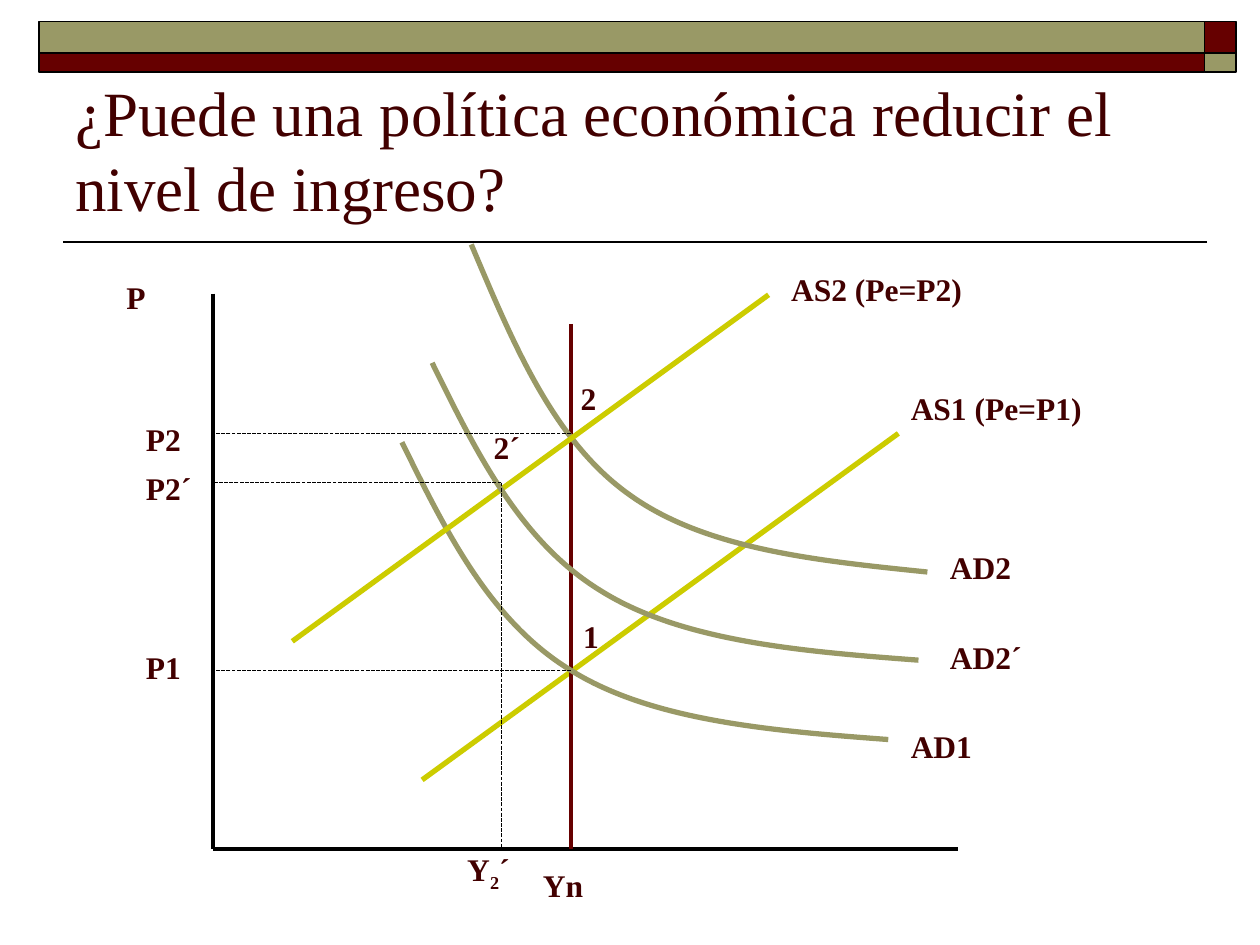
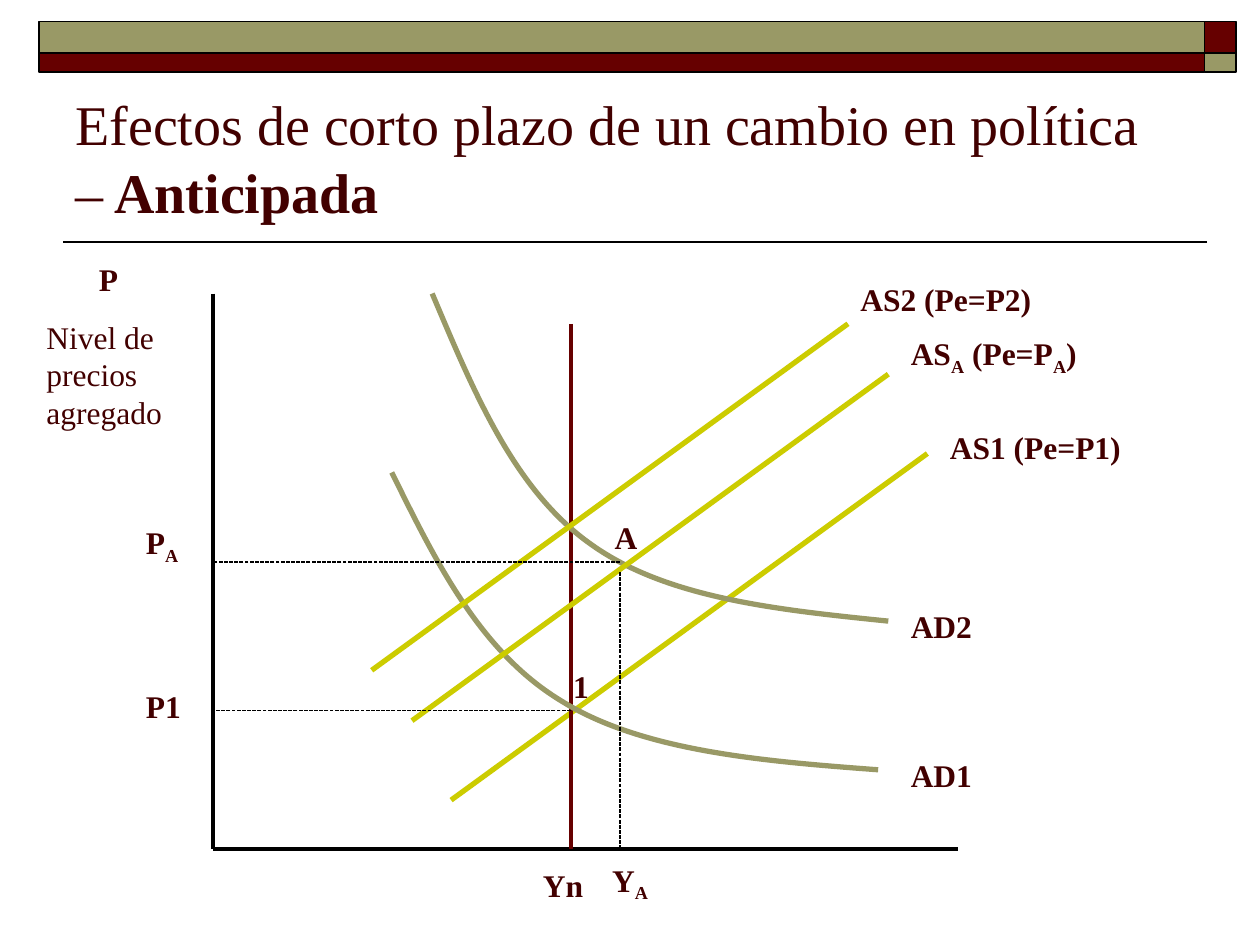
from dataclasses import dataclass

from lxml.etree import SubElement
from pptx import Presentation
from pptx.dml.color import RGBColor
from pptx.enum.dml import MSO_LINE
from pptx.enum.shapes import MSO_CONNECTOR, MSO_SHAPE
from pptx.enum.text import MSO_ANCHOR, PP_ALIGN
from pptx.oxml.ns import qn
from pptx.slide import Slide
from pptx.util import Inches, Pt

FONT = "Times New Roman"
COLORS = {
    "text": "420000",
    "maroon": "660000",
    "olive": "999966",
    "supply": "CCCC00",
    "black": "000000",
}

# Axes and the natural output line are the same in every diagram.
AXIS_X, AXIS_Y = 1.69, 6.74
NATURAL_X = 4.53
SUPPLY_RUN, SUPPLY_RISE = 3.78, 2.75

# Offsets from the curve's start: two joined cubic Bézier segments.
LOW_CURVE = ((0.35, 0.71), (0.7, 1.42), (1.34, 1.81),
             (1.98, 2.21), (2.92, 2.29), (3.86, 2.36))
HIGH_CURVE = ((0.33, 0.78), (0.65, 1.56), (1.26, 1.99),
              (1.86, 2.42), (2.74, 2.51), (3.62, 2.6))


@dataclass(frozen=True)
class Band:
    left: float
    top: float
    width: float
    height: float
    color: str


@dataclass(frozen=True)
class Line:
    start: tuple[float, float]
    end: tuple[float, float]
    color: str = "black"
    weight: float = 2.25
    dashed: bool = False


@dataclass(frozen=True)
class Demand:
    left: float
    top: float
    curve: tuple[tuple[float, float], ...] = LOW_CURVE


@dataclass(frozen=True)
class Label:
    """Text between underscores is subscript; a note is a plain second paragraph."""
    text: str
    left: float
    top: float
    width: float = 0.95
    height: float = 0.4
    align: PP_ALIGN = PP_ALIGN.LEFT
    note: str = ""


@dataclass(frozen=True)
class Diagram:
    title: str
    title_bold: str
    title_size: int
    curves: tuple[Line | Demand, ...]
    guides: tuple[Line, ...]
    labels: tuple[Label, ...]


def supply(left: float, bottom: float) -> Line:
    return Line((left, bottom), (left + SUPPLY_RUN, bottom - SUPPLY_RISE), "supply", 3)


def price_guide(x: float, y: float) -> Line:
    return Line((x, y), (AXIS_X, y), weight=0.75, dashed=True)


def output_guide(x: float, y: float) -> Line:
    return Line((x, y), (x, AXIS_Y), weight=0.75, dashed=True)


def price_label(text: str, top: float, height: float = 0.4) -> Label:
    return Label(text, 1.06, top, 0.63, height)


def supply_label(text: str, left: float, top: float, height: float = 0.4) -> Label:
    return Label(text, left, top, 1.81, height)


BANDS = (
    Band(9.56, 0.17, 0.25, 0.25, "maroon"),
    Band(0.31, 0.17, 9.25, 0.25, "olive"),
    Band(0.31, 0.42, 9.25, 0.15, "maroon"),
    Band(9.56, 0.42, 0.25, 0.15, "olive"),
)
TITLE_RULE = Line((9.58, 1.92), (0.5, 1.92), weight=1)
AXES = (
    Line((AXIS_X, 2.33), (AXIS_X, AXIS_Y)),
    Line((AXIS_X, AXIS_Y), (7.6, AXIS_Y)),
)
NATURAL_OUTPUT = Line((NATURAL_X, 2.57), (NATURAL_X, AXIS_Y), "maroon")
NATURAL_LABEL = Label("Yn", 4.21, 6.82)

DIAGRAMS = (
    Diagram(
        "¿Puede una política económica reducir el nivel de ingreso?", "", 36,
        curves=(
            supply(3.35, 6.19),
            NATURAL_OUTPUT,
            Demand(3.19, 3.51),
            Demand(3.74, 1.94, HIGH_CURVE),
            supply(2.32, 5.09),
            Demand(3.43, 2.88),
        ),
        guides=(
            price_guide(NATURAL_X, 5.32),
            price_guide(3.98, 3.83),
            output_guide(3.98, 3.83),
            price_guide(NATURAL_X, 3.44),
        ),
        labels=(
            Label("P", 0.49, 2.16, 1.18, align=PP_ALIGN.CENTER),
            price_label("P2", 3.28),
            price_label("P2´", 3.67),
            price_label("P1", 5.09),
            Label("1", 4.53, 4.85),
            Label("2", 4.51, 2.96),
            Label("2´", 3.82, 3.35),
            Label("Y_2_´", 3.61, 6.7, height=0.44),
            supply_label("AS2 (Pe=P2)", 6.18, 2.09),
            supply_label("AS1 (Pe=P1)", 7.13, 3.04),
            Label("AD2", 7.44, 4.3),
            Label("AD2´", 7.44, 5.01),
            Label("AD1", 7.13, 5.72),
        ),
    ),
    Diagram(
        "Efectos de corto plazo de un cambio en política \v–", " Anticipada", 32,
        curves=(
            supply(3.58, 6.35),
            NATURAL_OUTPUT,
            Demand(3.11, 3.75),
            Demand(3.43, 2.33, HIGH_CURVE),
            supply(3.27, 5.72),
            supply(2.95, 5.32),
        ),
        guides=(
            output_guide(4.92, 4.54),
            price_guide(NATURAL_X, 5.64),
            price_guide(4.92, 4.46),
        ),
        labels=(
            Label("P", 0.27, 2.01, 1.18, 1.46, PP_ALIGN.CENTER, "Nivel de precios agregado"),
            price_label("P_A_", 4.1, 0.44),
            price_label("P1", 5.4),
            Label("A", 4.78, 4.06),
            Label("1", 4.45, 5.24),
            Label("Y_A_", 4.76, 6.78, height=0.44),
            supply_label("AS2 (Pe=P2)", 6.73, 2.17),
            supply_label("AS_A_ (Pe=P_A_)", 7.13, 2.6, 0.44),
            supply_label("AS1 (Pe=P1)", 7.44, 3.35),
            Label("AD2", 7.13, 4.77),
            Label("AD1", 7.13, 5.95),
        ),
    ),
)


def rgb(name: str) -> RGBColor:
    return RGBColor.from_string(COLORS[name])


def draw_band(page: Slide, band: Band) -> None:
    box = page.shapes.add_shape(MSO_SHAPE.RECTANGLE, Inches(band.left), Inches(band.top),
                                Inches(band.width), Inches(band.height))
    box.shadow.inherit = False
    box.fill.solid()
    box.fill.fore_color.rgb = rgb(band.color)
    box.line.color.rgb = rgb("black")
    box.line.width = Pt(1)


def draw_line(page: Slide, line: Line) -> None:
    ends = [Inches(length) for length in (*line.start, *line.end)]
    connector = page.shapes.add_connector(MSO_CONNECTOR.STRAIGHT, *ends)
    connector.line.color.rgb = rgb(line.color)
    connector.line.width = Pt(line.weight)
    if line.dashed:
        connector.line.dash_style = MSO_LINE.SQUARE_DOT
    SubElement(connector._element.spPr, qn("a:effectLst"))


def draw_demand(page: Slide, demand: Demand) -> None:
    """Outline the control points, then turn each three segments into one Bézier."""
    builder = page.shapes.build_freeform(Inches(demand.left), Inches(demand.top))
    builder.add_line_segments([(Inches(demand.left + x), Inches(demand.top + y))
                               for x, y in demand.curve], close=False)
    curve = builder.convert_to_shape()
    outline = next(curve._element.iter(qn("a:path")))
    segments = outline.findall(qn("a:lnTo"))
    for first in range(0, len(segments), 3):
        bezier = SubElement(outline, qn("a:cubicBezTo"))
        for segment in segments[first:first + 3]:
            bezier.append(segment[0])
            outline.remove(segment)
    curve.shadow.inherit = False
    curve.fill.background()
    curve.line.color.rgb = rgb("olive")
    curve.line.width = Pt(3)


def add_text_frame(page: Slide, left: float, top: float, width: float, height: float):
    """Add a wrapping, bottom-anchored text box and return its text frame."""
    box = page.shapes.add_textbox(Inches(left), Inches(top), Inches(width), Inches(height))
    box.text_frame.word_wrap = True
    box.text_frame.vertical_anchor = MSO_ANCHOR.BOTTOM
    return box.text_frame


def style_paragraph(para, size: int) -> None:
    para.font.name = FONT
    para.font.size = Pt(size)
    para.font.color.rgb = rgb("text")


def draw_label(page: Slide, label: Label) -> None:
    frame = add_text_frame(page, label.left, label.top, label.width, label.height)
    para = frame.paragraphs[0]
    style_paragraph(para, 18)
    para.font.bold = True
    para.alignment = label.align
    for index, part in enumerate(label.text.split("_")):
        if part:
            span = para.add_run()
            span.text = part
            if index % 2:
                span._r.get_or_add_rPr().set("baseline", "-25000")
    if label.note:
        note = frame.add_paragraph()
        note.text = label.note
        note.space_before = Pt(11.2)
        style_paragraph(note, 18)


def draw_title(page: Slide, diagram: Diagram) -> None:
    para = add_text_frame(page, 0.5, 0.58, 9, 1.25).paragraphs[0]
    style_paragraph(para, diagram.title_size)
    para.text = diagram.title
    if diagram.title_bold:
        span = para.add_run()
        span.text = diagram.title_bold
        span.font.bold = True


def draw_diagram(page: Slide, diagram: Diagram) -> None:
    draw_line(page, TITLE_RULE)
    for band in BANDS:
        draw_band(page, band)
    draw_title(page, diagram)
    for item in (*AXES, *diagram.curves, *diagram.guides):
        if isinstance(item, Demand):
            draw_demand(page, item)
        else:
            draw_line(page, item)
    for label in (NATURAL_LABEL, *diagram.labels):
        draw_label(page, label)


def main() -> None:
    deck = Presentation()
    deck.slide_width, deck.slide_height = Inches(10), Inches(7.5)
    for diagram in DIAGRAMS:
        draw_diagram(deck.slides.add_slide(deck.slide_layouts[6]), diagram)
    deck.save("out.pptx")


if __name__ == "__main__":
    main()
